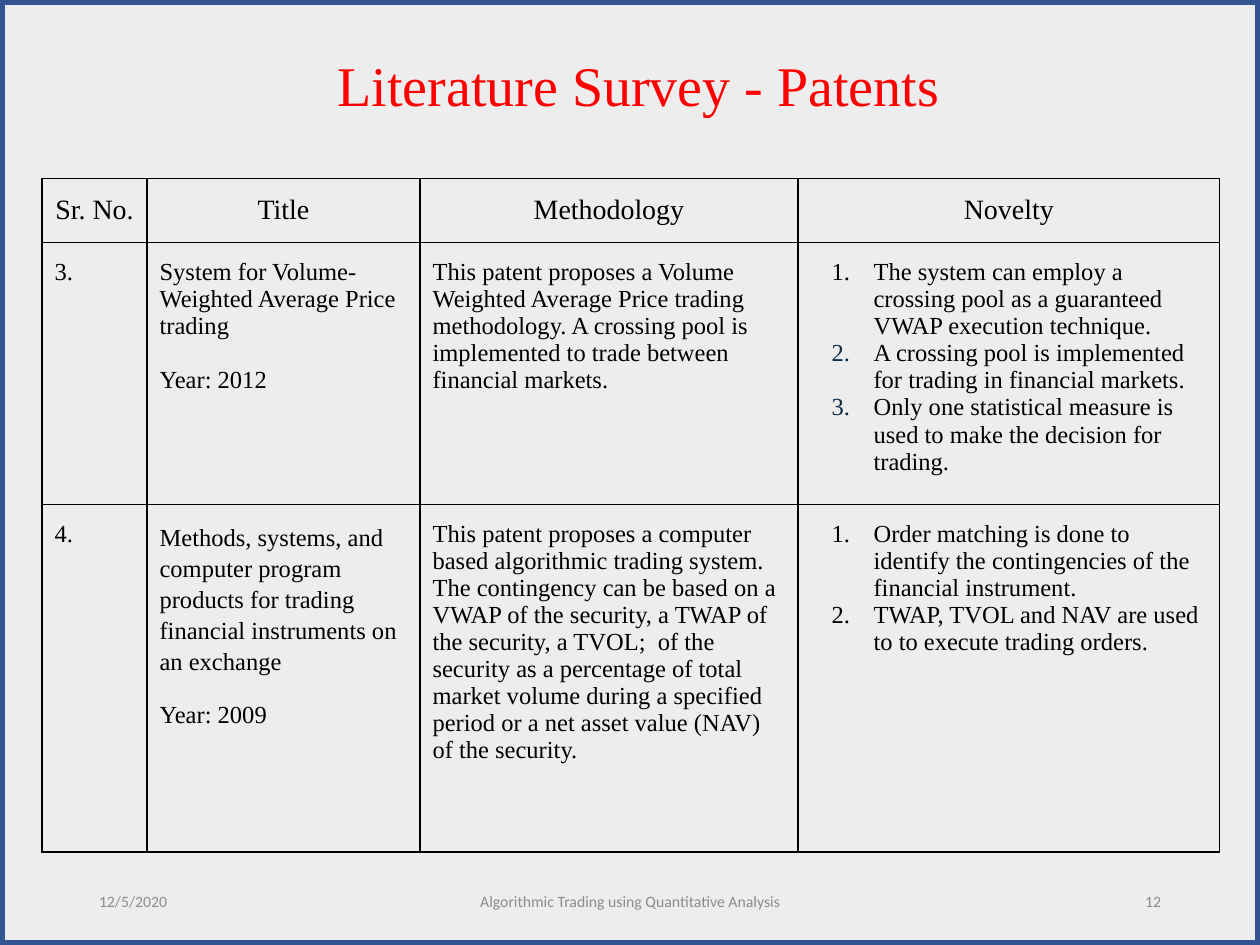
from pptx import Presentation
from pptx.dml.color import RGBColor as Rgb
from pptx.enum.shapes import MSO_SHAPE as Shape
from pptx.enum.text import MSO_ANCHOR as Anchor, PP_ALIGN as Align
from pptx.oxml.ns import qn
from pptx.util import Pt
from lxml.etree import SubElement as Sub, Element

THEME = {
    "serif": "Times New Roman", "sans": "Calibri",
    "back": "EDEDED", "frame": "325491", "title": "FF0000",
    "text": "000000", "mark": "0B2A43", "foot": "8C8C8C",
    "big": 32, "head": 16, "body": 14, "small": 9,
}

TITLE = "Literature Survey - Patents"
HEADS = ["Sr. No.", "Title", "Methodology", "Novelty"]
# Novelty points: (text, number colour or None)
ROWS = [
    {"no": "3.",
     "name": "System for Volume-Weighted Average Price trading",
     "year": "Year: 2012", "pitch": None, "gap": 15.5,
     "method": "This patent proposes a Volume Weighted Average Price trading "
               "methodology. A crossing pool is implemented to trade between "
               "financial markets.",
     "points": [
         ("The system can employ a crossing pool as a guaranteed VWAP "
          "execution technique.", None),
         ("A crossing pool is implemented for trading in financial markets.",
          "mark"),
         ("Only one statistical measure is used to make the decision for "
          "trading.", "mark")]},
    {"no": "4.",
     "name": "Methods, systems, and computer program products for trading "
             "financial instruments on an exchange",
     "year": "Year: 2009", "pitch": 1.15, "gap": 15,
     "method": "This patent proposes a computer based algorithmic trading "
               "system. The contingency can be based on a VWAP of the security, "
               "a TWAP of the security, a TVOL;  of the security as a "
               "percentage of total market volume during a specified period or "
               "a net asset value (NAV) of the security.",
     "points": [
         ("Order matching is done to identify the contingencies of the "
          "financial instrument.", None),
         ("TWAP, TVOL and NAV are used to to execute trading orders.", None)]},
]
# text, left, width, alignment
FOOTS = [
    ("12/5/2020", 49.5, 162, Align.LEFT),
    ("Algorithmic Trading using Quantitative Analysis", 238.5, 243, Align.CENTER),
    ("12", 508.5, 162, Align.RIGHT),
]

WIDE, HIGH = 720, 540
COLS = [60, 156, 216, 241]
TALL = [36.7, 149.5, 198.8]
LEFT, TOP = 24, 102


def color(key):
    return Rgb.from_string(THEME[key])


def write(para, text, size, tint="text", face="serif", align=Align.LEFT):
    para.alignment = align
    run = para.add_run()
    run.text = text
    font = run.font
    font.size, font.name = Pt(THEME[size]), THEME[face]
    font.color.rgb = color(tint)


def paras(frame, count):
    return [frame.paragraphs[0]] + [frame.add_paragraph() for _ in range(count - 1)]


def number(para, tint):
    """Give the paragraph a hanging automatic number."""
    props = para._p.get_or_add_pPr()
    props.set("marL", str(Pt(36)))
    props.set("indent", str(Pt(-24)))
    if tint:
        Sub(Sub(props, qn("a:buClr")), qn("a:srgbClr"), val=THEME[tint])
    Sub(props, qn("a:buFont"), typeface=THEME["serif"])
    Sub(props, qn("a:buAutoNum"), type="arabicPeriod")


def style(cell):
    """Set margins, clear the fill and draw all four borders."""
    cell.margin_left = cell.margin_right = Pt(7.2)
    cell.margin_top = cell.margin_bottom = Pt(9.2)
    cell.fill.background()
    props = cell._tc.get_or_add_tcPr()
    for i, side in enumerate("LRTB"):
        line = Element(qn("a:ln" + side), w=str(Pt(1)))
        Sub(Sub(line, qn("a:solidFill")), qn("a:srgbClr"), val=THEME["text"])
        props.insert(i, line)


def add_title(slide):
    box = slide.shapes.title
    box.left, box.top, box.width, box.height = Pt(119), Pt(18), Pt(492), Pt(60)
    box.text_frame.vertical_anchor = Anchor.MIDDLE
    write(box.text_frame.paragraphs[0], TITLE, "big", "title", align=Align.CENTER)


def add_survey(slide):
    table = slide.shapes.add_table(
        len(TALL), len(COLS), Pt(LEFT), Pt(TOP), Pt(sum(COLS)), Pt(sum(TALL))).table
    table.first_row = table.horz_banding = False
    for col, width in zip(table.columns, COLS):
        col.width = Pt(width)
    for row, height in zip(table.rows, TALL):
        row.height = Pt(height)
    for cell in table.iter_cells():
        style(cell)
    for c, head in enumerate(HEADS):
        write(table.cell(0, c).text_frame.paragraphs[0], head, "head",
              align=Align.CENTER)
    for r, item in enumerate(ROWS, 1):
        no, name, method, novel = [table.cell(r, c).text_frame for c in range(4)]
        write(no.paragraphs[0], item["no"], "body")
        write(method.paragraphs[0], item["method"], "body")
        first, last = paras(name, 2)
        write(first, item["name"], "body")
        first.line_spacing = item["pitch"]
        write(last, item["year"], "body")
        last.space_before = Pt(item["gap"])
        points = item["points"]
        for para, (text, tint) in zip(paras(novel, len(points)), points):
            write(para, text, "body")
            number(para, tint)


def add_foot(slide, text, left, width, align):
    frame = slide.shapes.add_textbox(
        Pt(left), Pt(500.5), Pt(width), Pt(28.75)).text_frame
    frame.word_wrap = True
    frame.vertical_anchor = Anchor.MIDDLE
    write(frame.paragraphs[0], text, "small", "foot", "sans", align)


def add_frame(slide):
    rim = slide.shapes.add_shape(Shape.RECTANGLE, 0, 0, Pt(WIDE), Pt(HIGH))
    rim.shadow.inherit = False
    rim.fill.background()
    rim.line.color.rgb = color("frame")
    rim.line.width = Pt(6)


def main():
    deck = Presentation()
    deck.slide_width, deck.slide_height = Pt(WIDE), Pt(HIGH)
    slide = deck.slides.add_slide(deck.slide_layouts[5])
    back = slide.background.fill
    back.solid()
    back.fore_color.rgb = color("back")
    add_survey(slide)
    for foot in FOOTS:
        add_foot(slide, *foot)
    add_title(slide)
    add_frame(slide)
    deck.save("out.pptx")


if __name__ == "__main__":
    main()
